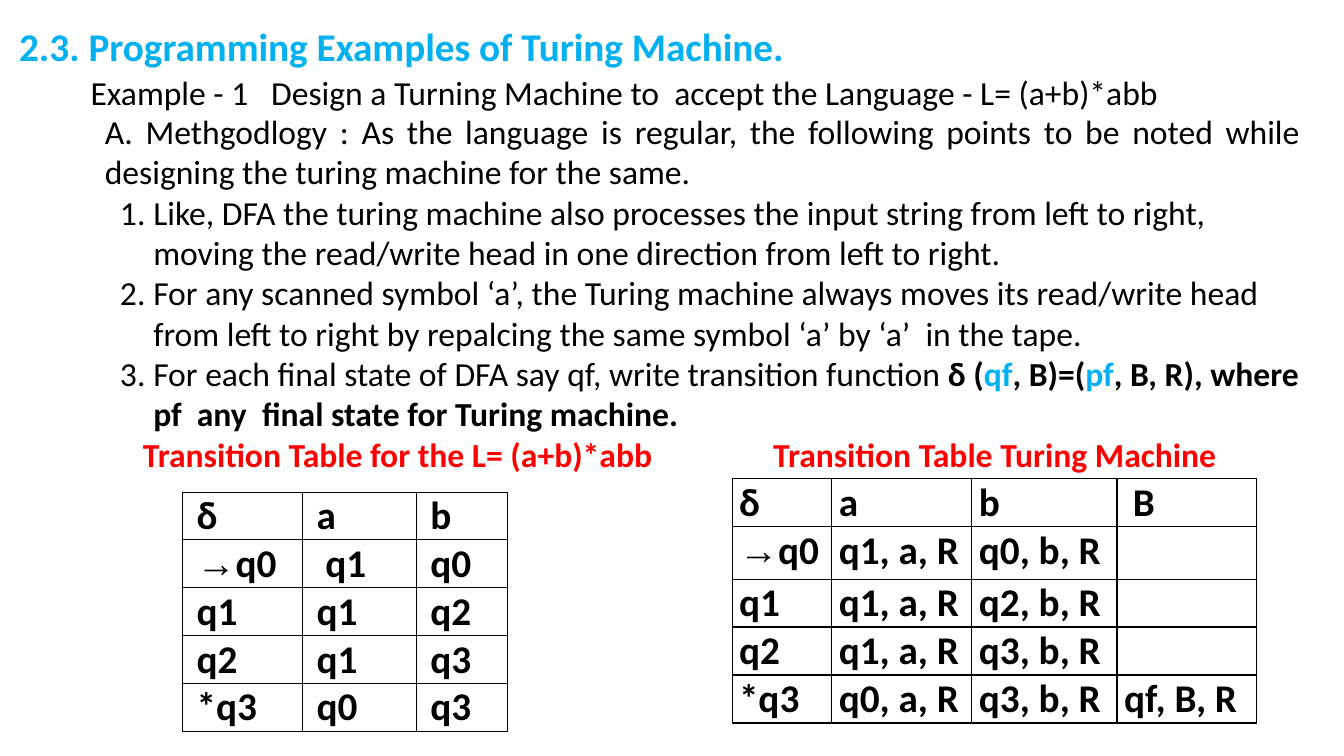
from lxml import etree
from pptx import Presentation
from pptx.dml.color import RGBColor
from pptx.enum.text import MSO_ANCHOR, MSO_AUTO_SIZE, PP_ALIGN
from pptx.oxml.ns import qn
from pptx.util import Inches, Pt

LEFT, JUSTIFY = PP_ALIGN.LEFT, PP_ALIGN.JUSTIFY
TOP = MSO_ANCHOR.TOP
NO_AUTOFIT = MSO_AUTO_SIZE.NONE
FONT, ARROW_FONT = "Calibri", "Arial"
COLORS = {"text": "000000", "accent": "00B0F0", "caption": "FF0000", "border": "000008"}
TITLE_LAYOUT = 1
ARROW = "→"

METHODOLOGY = (
    "A. Methgodlogy : As the language is regular, the following points "
    "to be noted while designing the turing machine for the same."
)
# Each point is a list of runs: text, colour name, bold
POINTS = [
    [("Like, DFA the turing machine also processes the input string from left to right, "
      "moving the read/write head in one direction from left to right.", "text", False)],
    [("For any scanned symbol ‘a’, the Turing machine always moves its read/write head "
      "from left to right by repalcing the same symbol ‘a’ by ‘a’  in the tape.", "text", False)],
    [("For each final state of DFA say qf, write transition function ", "text", False),
     ("δ (", "text", True),
     ("qf", "accent", True),
     (", B)=(", "text", True),
     ("pf", "accent", True),
     (", B, R), where pf  any  final state for Turing machine.", "text", True)],
]
DFA_ROWS = [
    ["δ", "a", "b"],
    ["→q0", " q1", "q0"],
    ["q1", "q1", "q2"],
    ["q2", "q1", "q3"],
    ["*q3", "q0", "q3"],
]
MACHINE_ROWS = [
    ["δ", "a", "b", " B"],
    ["→q0", "q1, a, R", "q0, b, R", ""],
    ["q1", "q1, a, R", "q2, b, R", ""],
    ["q2", "q1, a, R", "q3, b, R", ""],
    ["*q3", "q0, a, R", "q3, b, R", "qf, B, R"],
]


def add_run(paragraph, text, size, color="text", bold=False, font=FONT):
    run = paragraph.add_run()
    run.text = text
    run.font.name = font
    run.font.size = Pt(size)
    run.font.bold = bold
    run.font.color.rgb = RGBColor.from_string(COLORS[color])


def place(shape, left, top, width, height):
    shape.left, shape.top = Inches(left), Inches(top)
    shape.width, shape.height = Inches(width), Inches(height)
    frame = shape.text_frame
    frame.word_wrap = True
    frame.auto_size = NO_AUTOFIT
    frame.vertical_anchor = TOP
    return frame


def set_list_format(paragraph, margin=0, hanging=0, numbered=False):
    paragraph.space_before = Pt(0)
    properties = paragraph._p.get_or_add_pPr()
    properties.set("marL", str(Inches(margin)))
    properties.set("indent", str(-Inches(hanging)))
    if numbered:
        etree.SubElement(properties, qn("a:buFont"), typeface="+mj-lt")
        etree.SubElement(properties, qn("a:buAutoNum"), type="arabicPeriod")
    else:
        etree.SubElement(properties, qn("a:buNone"))


def add_title(slide, text):
    frame = place(slide.shapes.title, 0.09, 0.17, 11.33, 0.53)
    paragraph = frame.paragraphs[0]
    paragraph.alignment = LEFT
    add_run(paragraph, text, 28, "accent", True)


def add_text_line(slide, box, text, color="text", bold=False):
    shape = slide.shapes.add_textbox(0, 0, 0, 0)
    add_run(place(shape, *box).paragraphs[0], text, 24, color, bold)


def add_body(slide):
    frame = place(slide.placeholders[1], 0.94, 1.05, 12.06, 3.4)
    introduction = frame.paragraphs[0]
    introduction.alignment = JUSTIFY
    set_list_format(introduction)
    add_run(introduction, METHODOLOGY, 24)
    for runs in POINTS:
        paragraph = frame.add_paragraph()
        paragraph.alignment = LEFT
        set_list_format(paragraph, 0.48, 0.33, numbered=True)
        for text, color, bold in runs:
            add_run(paragraph, text, 24, color, bold)


def set_borders(cell, widths):
    properties = cell._tc.get_or_add_tcPr()
    for side, width in widths.items():
        line = etree.SubElement(properties, qn("a:ln" + side), w=str(Pt(width)))
        fill = etree.SubElement(line, qn("a:solidFill"))
        etree.SubElement(fill, qn("a:srgbClr"), val=COLORS["border"])


def fill_cell(cell, text, indent):
    cell.margin_left = cell.margin_right = Inches(0.07)
    cell.margin_top = cell.margin_bottom = 0
    cell.fill.background()
    paragraph = cell.text_frame.paragraphs[0]
    paragraph._p.get_or_add_pPr().set("marL", str(Inches(indent)))
    if text.startswith(ARROW):
        add_run(paragraph, ARROW, 28, bold=True, font=ARROW_FONT)
        text = text[len(ARROW):]
    if text:
        add_run(paragraph, text, 28, bold=True)


def add_transition_table(slide, left, top, column_widths, row_heights, rows, indent=0):
    frame = slide.shapes.add_table(
        len(rows), len(column_widths), Inches(left), Inches(top),
        Inches(sum(column_widths)), Inches(sum(row_heights)))
    table = frame.table
    table.first_row = table.horz_banding = False
    for column, width in zip(table.columns, column_widths):
        column.width = Inches(width)
    for row, height in zip(table.rows, row_heights):
        row.height = Inches(height)
    for row_index, row in enumerate(rows):
        for column_index, text in enumerate(row):
            cell = table.cell(row_index, column_index)
            # The outer left and top edges are thinner
            set_borders(cell, {"L": 1 if column_index else 0.5, "R": 1,
                               "T": 1 if row_index else 0.5, "B": 1})
            fill_cell(cell, text, indent)


def main():
    presentation = Presentation()
    presentation.slide_width, presentation.slide_height = Inches(13.33), Inches(7.5)
    slide = presentation.slides.add_slide(presentation.slide_layouts[TITLE_LAYOUT])

    # Heading and explanation
    add_title(slide, "2.3. Programming Examples of Turing Machine.")
    add_text_line(slide, (0.8, 0.66, 12.17, 0.53),
                  "Example - 1   Design a Turning Machine to  accept the Language - L= (a+b)*abb")
    add_body(slide)

    # Transition tables with captions
    add_text_line(slide, (1.32, 4.26, 5.6, 0.5),
                  "Transition Table for the L= (a+b)*abb", "caption", True)
    add_text_line(slide, (7.57, 4.26, 5.2, 0.5),
                  "Transition Table Turing Machine", "caption", True)
    add_transition_table(slide, 1.81, 4.88, [1.19, 1.13, 0.9], [0.47] * 5, DFA_ROWS, 0.07)
    add_transition_table(slide, 7.26, 4.75, [0.99, 1.39, 1.44, 1.38],
                         [0.47, 0.52, 0.47, 0.47, 0.47], MACHINE_ROWS)

    presentation.save("out.pptx")


if __name__ == "__main__":
    main()
